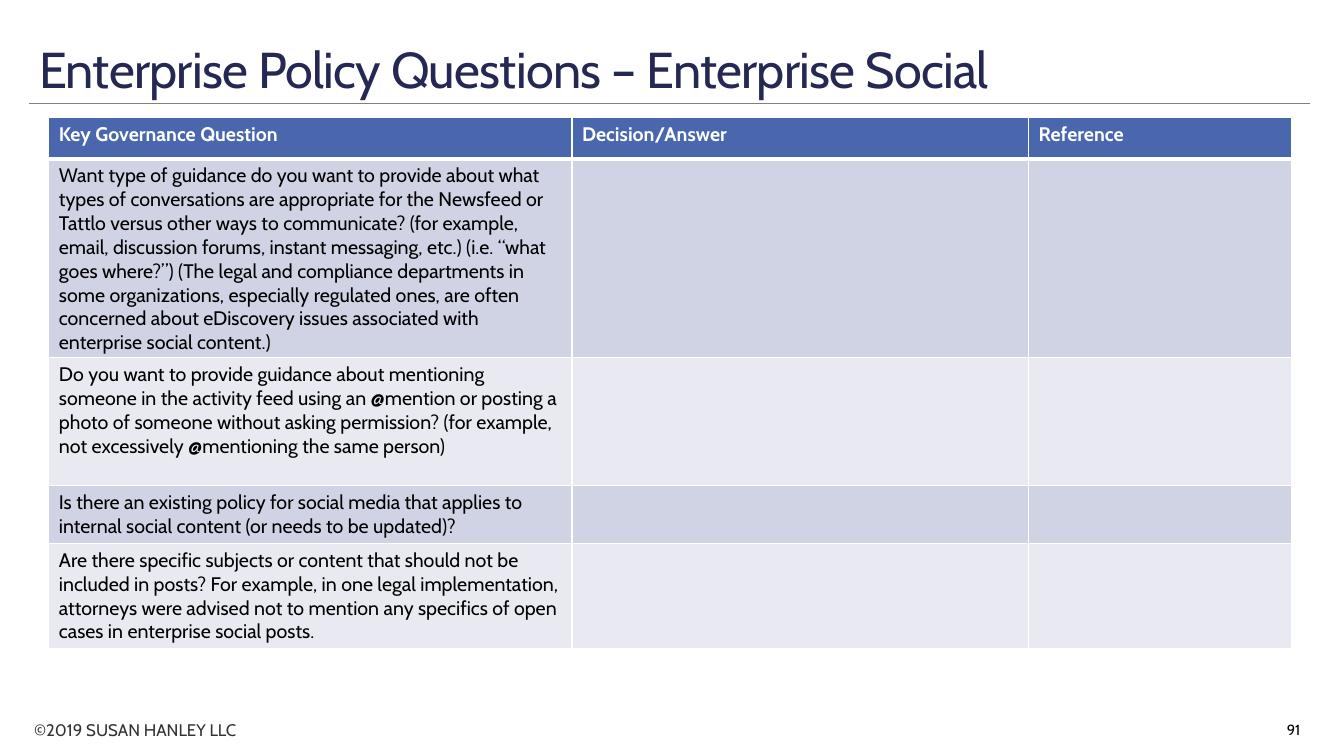
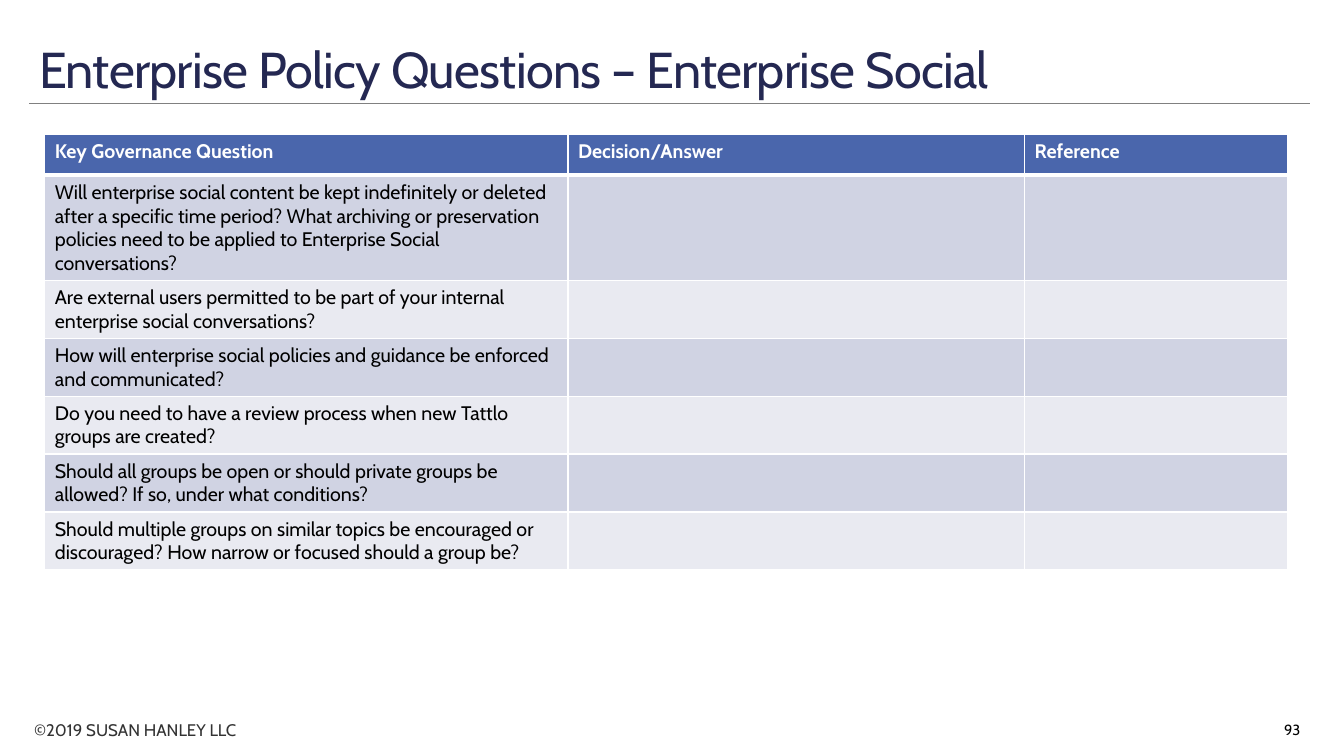
from lxml import etree
from pptx import Presentation
from pptx.dml.color import RGBColor
from pptx.enum.shapes import MSO_CONNECTOR
from pptx.enum.text import MSO_ANCHOR, PP_ALIGN
from pptx.oxml.ns import qn
from pptx.util import Pt

STRAIGHT = MSO_CONNECTOR.STRAIGHT
TOP, MIDDLE, BOTTOM = MSO_ANCHOR.TOP, MSO_ANCHOR.MIDDLE, MSO_ANCHOR.BOTTOM
LEFT, RIGHT = PP_ALIGN.LEFT, PP_ALIGN.RIGHT

FONT = "Cabin"
WHITE = RGBColor(0xFF, 0xFF, 0xFF)
BLACK = RGBColor(0x00, 0x00, 0x00)
NAVY = RGBColor(0x24, 0x28, 0x52)
BLUE = RGBColor(0x4A, 0x66, 0xAC)
DARK_BAND = RGBColor(0xD0, 0xD3, 0xE3)
LIGHT_BAND = RGBColor(0xE9, 0xEA, 0xF1)
GRAY = RGBColor(0x80, 0x80, 0x80)
CHARCOAL = RGBColor(0x33, 0x33, 0x33)

TITLE = "Enterprise Policy Questions – Enterprise Social"
COPYRIGHT = "©2019 SUSAN HANLEY LLC"
HEADINGS = ["Key Governance Question", "Decision/Answer", "Reference"]
COLUMN_WIDTHS = [373.7, 326.2, 187.9]
HEADER_HEIGHT = 29.2
TWO_LINES = 41.4

SLIDES = [
    {
        "number": "91",
        "left": 34.9,
        "top": 84.2,
        "questions": [
            ("Want type of guidance do you want to provide about what types of "
             "conversations are appropriate for the Newsfeed or Tattlo versus other "
             "ways to communicate? (for example, email, discussion forums, instant "
             "messaging, etc.) (i.e. “what goes where?”) (The legal and compliance "
             "departments in some organizations, especially regulated ones, are often "
             "concerned about eDiscovery issues associated with enterprise social "
             "content.)", 142),
            ("Do you want to provide guidance about mentioning someone in the activity "
             "feed using an @mention or posting a photo of someone without asking "
             "permission? (for example, not excessively @mentioning the same person)",
             91.4),
            ("Is there an existing policy for social media that applies to internal "
             "social content (or needs to be updated)?", TWO_LINES),
            ("Are there specific subjects or content that should not be included in "
             "posts? For example, in one legal implementation, attorneys were advised "
             "not to mention any specifics of open cases in enterprise social posts.",
             75),
        ],
    },
    {
        "number": "93",
        "left": 32,
        "top": 96,
        "questions": [
            ("Will enterprise social content be kept indefinitely or deleted after a "
             "specific time period? What archiving or preservation policies need to be "
             "applied to Enterprise Social conversations?", 75),
            ("Are external users permitted to be part of your internal enterprise "
             "social conversations?", TWO_LINES),
            ("How will enterprise social policies and guidance be enforced and "
             "communicated?", TWO_LINES),
            ("Do you need to have a review process when new Tattlo groups are created?",
             TWO_LINES),
            ("Should all groups be open or should private groups be allowed? If so, "
             "under what conditions?", TWO_LINES),
            ("Should multiple groups on similar topics be encouraged or discouraged? "
             "How narrow or focused should a group be?", TWO_LINES),
        ],
    },
]


def write_text(frame, text, size=14, color=BLACK, bold=False, align=LEFT,
               anchor=TOP, line_spacing=None, tracking=None):
    frame.word_wrap = True
    frame.vertical_anchor = anchor
    paragraph = frame.paragraphs[0]
    paragraph.alignment = align
    paragraph.line_spacing = line_spacing
    run = paragraph.add_run()
    run.text = text
    run.font.name = FONT
    run.font.size = Pt(size)
    run.font.bold = bold
    run.font.color.rgb = color
    if tracking is not None:
        run.font._element.set("spc", str(round(tracking * 100)))


def add_text_box(slide, left, top, width, height, text, **text_format):
    box = slide.shapes.add_textbox(Pt(left), Pt(top), Pt(width), Pt(height))
    write_text(box.text_frame, text, **text_format)


def add_rule(slide, left, right, y):
    rule = slide.shapes.add_connector(STRAIGHT, Pt(left), Pt(y), Pt(right), Pt(y))
    rule.line.color.rgb = GRAY
    rule.line.width = Pt(0.5)
    etree.SubElement(rule._element.spPr, qn("a:effectLst"))


def add_frame(slide, number):
    add_rule(slide, 20.9, 936, 74.2)
    add_text_box(slide, 17.3, 510.5, 202.3, 21.6, COPYRIGHT, size=12, color=CHARCOAL)
    add_text_box(slide, 20.9, 13.7, 915.1, 60.5, TITLE, size=36, color=NAVY,
                 anchor=BOTTOM, line_spacing=0.85, tracking=-0.5)
    add_text_box(slide, 833, 506.9, 103, 28.8, number, size=10.5,
                 align=RIGHT, anchor=MIDDLE)


def set_borders(cell, top, bottom):
    properties = cell._tc.get_or_add_tcPr()
    for side, width in (("L", 1), ("R", 1), ("T", top), ("B", bottom)):
        line = etree.SubElement(properties, qn(f"a:ln{side}"), w=str(Pt(width)))
        fill = etree.SubElement(line, qn("a:solidFill"))
        etree.SubElement(fill, qn("a:srgbClr"), val=str(WHITE))


def fill_cell(cell, row_index, text):
    set_borders(cell, top=3 if row_index == 1 else 1, bottom=3 if row_index == 0 else 1)
    is_header = row_index == 0
    band = DARK_BAND if row_index % 2 else LIGHT_BAND
    cell.fill.solid()
    cell.fill.fore_color.rgb = BLUE if is_header else band
    if text:
        write_text(cell.text_frame, text, bold=is_header,
                   color=WHITE if is_header else BLACK)


def add_question_table(slide, left, top, questions):
    rows = [HEADINGS] + [[question, "", ""] for question, _ in questions]
    heights = [HEADER_HEIGHT] + [height for _, height in questions]
    table = slide.shapes.add_table(
        len(rows), len(HEADINGS), Pt(left), Pt(top),
        Pt(sum(COLUMN_WIDTHS)), Pt(sum(heights))).table
    for column, width in zip(table.columns, COLUMN_WIDTHS):
        column.width = Pt(width)
    for row_index, (texts, height) in enumerate(zip(rows, heights)):
        table.rows[row_index].height = Pt(height)
        for column_index, text in enumerate(texts):
            fill_cell(table.cell(row_index, column_index), row_index, text)


def main():
    presentation = Presentation()
    presentation.slide_width = Pt(960)
    presentation.slide_height = Pt(540)
    blank_layout = presentation.slide_layouts[6]
    for content in SLIDES:
        slide = presentation.slides.add_slide(blank_layout)
        add_frame(slide, content["number"])
        add_question_table(slide, content["left"], content["top"], content["questions"])
    presentation.save("out.pptx")


if __name__ == "__main__":
    main()
